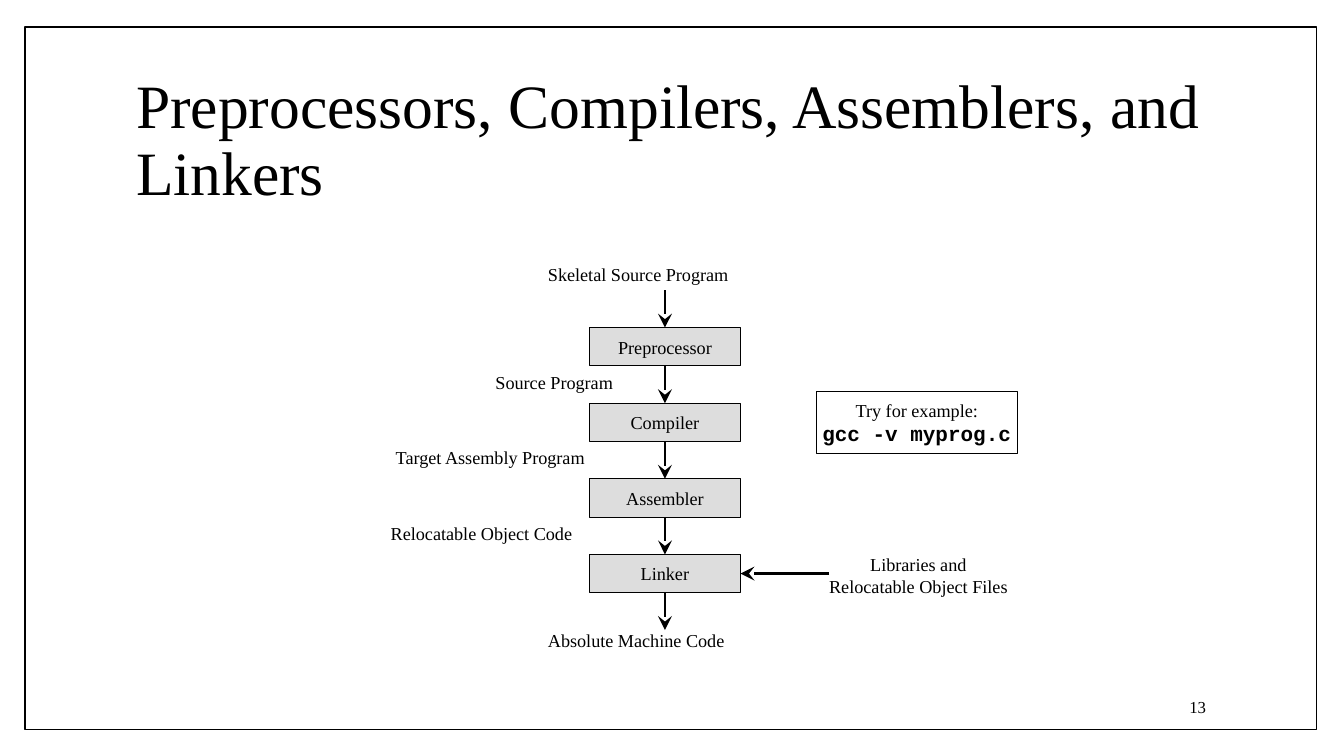
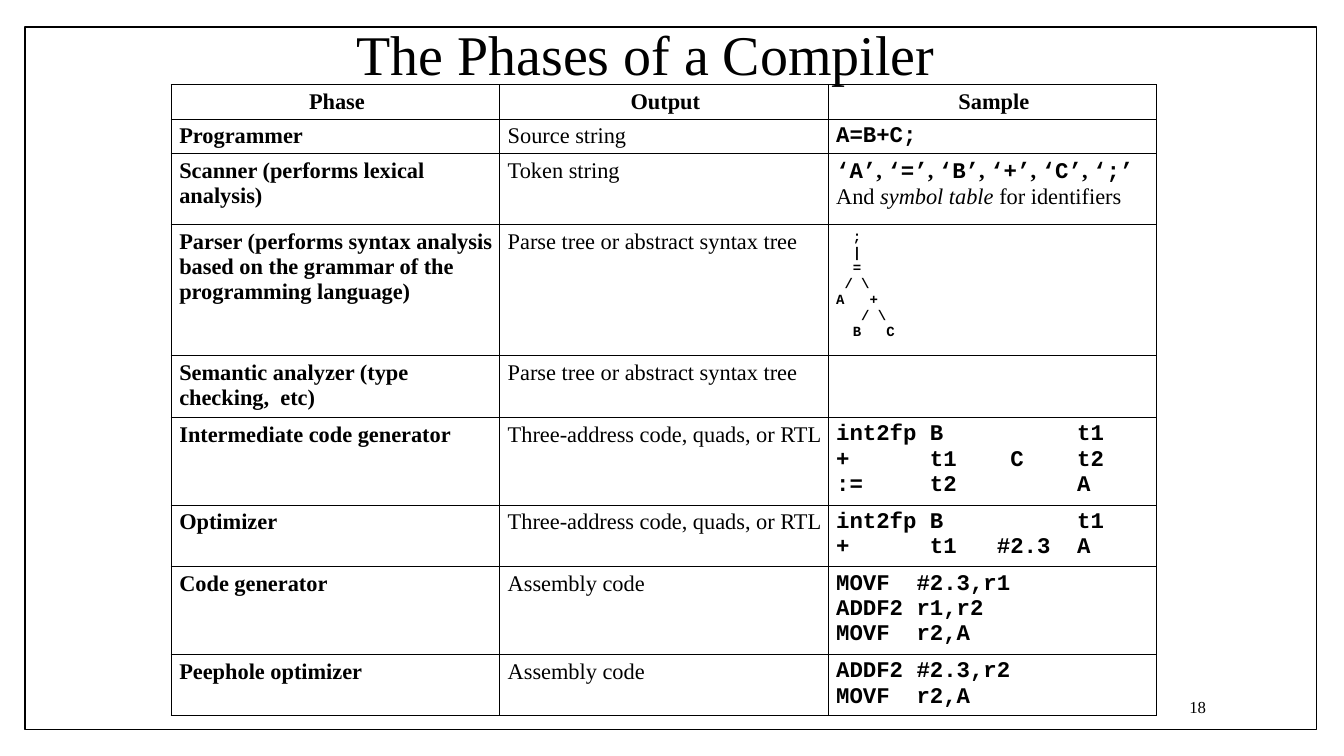
from copy import deepcopy

from lxml import etree
from pptx import Presentation
from pptx.dml.color import RGBColor
from pptx.enum.shapes import MSO_CONNECTOR, MSO_SHAPE
from pptx.enum.text import MSO_ANCHOR, MSO_AUTO_SIZE, PP_ALIGN
from pptx.oxml.ns import qn
from pptx.util import Inches, Pt

RECT, STRAIGHT = MSO_SHAPE.RECTANGLE, MSO_CONNECTOR.STRAIGHT
LEFT, CENTER, RIGHT = PP_ALIGN.LEFT, PP_ALIGN.CENTER, PP_ALIGN.RIGHT
MIDDLE = MSO_ANCHOR.MIDDLE
NO_FIT, GROW = MSO_AUTO_SIZE.NONE, MSO_AUTO_SIZE.SHAPE_TO_FIT_TEXT
TOP_SIDE, BOTTOM_SIDE, RIGHT_SIDE = 0, 2, 3
COLORS = {"ink": "000000", "paper": "FFFFFF", "step": "DDDDDD"}
INK, PAPER, STEP = (RGBColor.from_string(COLORS[c]) for c in ("ink", "paper", "step"))
SERIF, MONO = "Times New Roman", "Courier New"


def write(p, text, size=13, font=SERIF, bold=False, italic=False, align=None):
    """Append formatted text to a paragraph; a newline becomes a line break."""
    if align is not None:
        p.alignment = align
    for i, line in enumerate(text.split("\n")):
        if i:
            p.add_line_break()
        r = p.add_run()
        r.text = line
        r.font.size, r.font.name = Pt(size), font
        r.font.bold, r.font.italic = bold, italic
        r.font.color.rgb = INK
        if i:  # the break takes the same format, so the line height stays even
            r._r.getprevious().append(deepcopy(r._r.rPr))


def add_arrow(slide, x1, y1, x2, y2):
    line = slide.shapes.add_connector(
        STRAIGHT, Inches(x1), Inches(y1), Inches(x2), Inches(y2))
    line.line.color.rgb, line.line.width = INK, Pt(2)
    etree.SubElement(line.line._get_or_add_ln(), qn("a:tailEnd"),
                     type="stealth", w="lg", len="lg")
    etree.SubElement(line._element.spPr, qn("a:effectLst"))
    return line


prs = Presentation()
prs.slide_width, prs.slide_height = Inches(13.34), Inches(7.5)
title_only = prs.slide_layouts[5]

# Titles and page numbers
slides = []
for title, title_size, title_box, number in [
    ("Preprocessors, Compilers, Assemblers, and Linkers", 44,
     (1.25, 0.67, 10.8, 1.48), "13"),
    ("The Phases of a Compiler", 40, (3.44, 0.36, 6.38, 0.41), "18"),
]:
    slide = prs.slides.add_slide(title_only)
    sp = slide.shapes.title
    sp.left, sp.top, sp.width, sp.height = map(Inches, title_box)
    tf = sp.text_frame
    tf.word_wrap, tf.auto_size, tf.vertical_anchor = True, NO_FIT, MIDDLE
    tf.paragraphs[0].line_spacing = 0.9
    write(tf.paragraphs[0], title, size=title_size, align=LEFT)

    sp = slide.shapes.add_textbox(Inches(10.2), Inches(6.81), Inches(1.87), Inches(0.4))
    tf = sp.text_frame
    tf.word_wrap, tf.vertical_anchor = True, MIDDLE
    write(tf.paragraphs[0], number, size=12, align=RIGHT)
    slides.append(slide)
flow, phases = slides

# Page frame, moved to the back of the master
frame = flow.shapes.add_shape(RECT, Inches(0.25), Inches(0.27), Inches(12.82), Inches(6.97))
frame.shadow.inherit = False
frame.fill.solid()
frame.fill.fore_color.rgb = PAPER
frame.line.color.rgb, frame.line.width = INK, Pt(1)
prs.slide_master.shapes.element.insert(2, frame.element)

# Slide 1: tool chain
STEP_X, STEP_Y, STEP_W, STEP_H, PITCH = 5.85, 3.25, 1.5, 0.38, 0.75
GAP = PITCH - STEP_H
MID_X = STEP_X + STEP_W / 2
boxes = [((STEP_X, STEP_Y + i * PITCH, STEP_W, STEP_H), STEP, [(name, {})])
         for i, name in enumerate(["Preprocessor", "Compiler", "Assembler", "Linker"])]
boxes.append(((8.1, 3.88, 2, 0.62), None, [
    ("Try for example:", {}),
    ("gcc -v myprog.c", {"size": 15, "font": MONO, "bold": True})]))
shapes = []
for box, fill, lines in boxes:
    sp = flow.shapes.add_shape(RECT, *map(Inches, box))
    sp.shadow.inherit = False
    if fill is None:
        sp.fill.background()
    else:
        sp.fill.solid()
        sp.fill.fore_color.rgb = fill
    sp.line.color.rgb, sp.line.width = INK, Pt(0.75)
    tf = sp.text_frame
    tf.word_wrap, tf.vertical_anchor = False, MIDDLE
    for i, (text, style) in enumerate(lines):
        p = tf.add_paragraph() if i else tf.paragraphs[0]
        write(p, text, align=CENTER, **style)
    shapes.append(sp)
steps = shapes[:4]

for i in range(len(steps) + 1):
    y = STEP_Y + i * PITCH
    arrow = add_arrow(flow, MID_X, y - GAP, MID_X, y)
    if i > 0:
        arrow.begin_connect(steps[i - 1], BOTTOM_SIDE)
    if i < len(steps):
        arrow.end_connect(steps[i], TOP_SIDE)
linker_y = STEP_Y + 3 * PITCH + STEP_H / 2
add_arrow(flow, 8.23, linker_y, STEP_X + STEP_W, linker_y).end_connect(steps[3], RIGHT_SIDE)

for text, x, y, w, h, align in [
    ("Skeletal Source Program", 5.34, 2.56, 1.99, 0.32, LEFT),
    ("Source Program", 4.82, 3.63, 1.4, 0.32, LEFT),
    ("Target Assembly Program", 3.83, 4.38, 2.1, 0.32, LEFT),
    ("Relocatable Object Code", 3.78, 5.13, 2, 0.32, LEFT),
    ("Absolute Machine Code", 5.34, 6.19, 1.95, 0.32, LEFT),
    ("Libraries and\nRelocatable Object Files", 8.13, 5.44, 1.97, 0.54, CENTER),
]:
    tf = flow.shapes.add_textbox(Inches(x), Inches(y), Inches(w), Inches(h)).text_frame
    tf.word_wrap, tf.auto_size = False, GROW
    write(tf.paragraphs[0], text, align=align)

# Slide 2: phase table
CODE = {"font": MONO, "bold": True}
BOLD = {"bold": True}
tokens = []
for token in "A=B+C;":
    tokens += [(f"‘{token}’", CODE), (", ", BOLD)]
tokens[-1] = ("\n", CODE)
tokens += [("And ", {}), ("symbol table", {"italic": True}), (" for identifiers", {})]
TREE = r"""  ;
  |
  =
 / \
A   +
   / \
  B   C"""
rows = [
    (0.34, "Phase", "Output", [("Sample", BOLD)]),
    (0.34, "Programmer", "Source string", [("A=B+C;", CODE)]),
    (0.71, "Scanner (performs lexical analysis)", "Token string", tokens),
    (1.3, "Parser (performs syntax analysis based on the grammar of the "
     "programming language)", "Parse tree or abstract syntax tree",
     [(TREE, {**CODE, "size": 10})]),
    (0.61, "Semantic analyzer (type checking,  etc)",
     "Parse tree or abstract syntax tree", []),
    (0.87, "Intermediate code generator", "Three-address code, quads, or RTL",
     [("int2fp B          t1\n+      t1    C    t2\n:=     t2         A", CODE)]),
    (0.61, "Optimizer", "Three-address code, quads, or RTL",
     [("int2fp B          t1\n+      t1   #2.3  A", CODE)]),
    (0.87, "Code generator", "Assembly code",
     [("MOVF  #2.3,r1\nADDF2 r1,r2\nMOVF  r2,A", CODE)]),
    (0.61, "Peephole optimizer", "Assembly code",
     [("ADDF2 #2.3,r2\nMOVF  r2,A", CODE)]),
]
table = phases.shapes.add_table(
    len(rows), 3, Inches(1.7), Inches(0.84), Inches(9.77), Inches(6.27)).table
table.first_row = table.horz_banding = False
for column in table.columns:
    column.width = Inches(3.26)
for i, (height, phase, output, sample) in enumerate(rows):
    table.rows[i].height = Inches(height)
    output_style = BOLD if i == 0 else {}
    for j, runs in enumerate([[(phase, BOLD)], [(output, output_style)], sample]):
        cell = table.cell(i, j)
        cell.margin_left, cell.margin_right = Inches(0.08), Inches(0.05)
        # no bottom margin, so that text never stretches a row
        cell.margin_top, cell.margin_bottom = Inches(0.05), 0
        p = cell.text_frame.paragraphs[0]
        p.alignment = CENTER if i == 0 else LEFT
        for text, style in runs:
            write(p, text, **{"size": 16, **style})
        outer = {"L": j == 0, "R": j == 2, "T": i == 0, "B": i == len(rows) - 1}
        for side, is_outer in outer.items():
            ln = etree.SubElement(cell._tc.get_or_add_tcPr(), qn(f"a:ln{side}"),
                                  w=str(Pt(1.08 if is_outer else 0.45)))
            fill = etree.SubElement(ln, qn("a:solidFill"))
            etree.SubElement(fill, qn("a:srgbClr"), val=COLORS["ink"])
        cell.fill.background()

prs.save("out.pptx")
